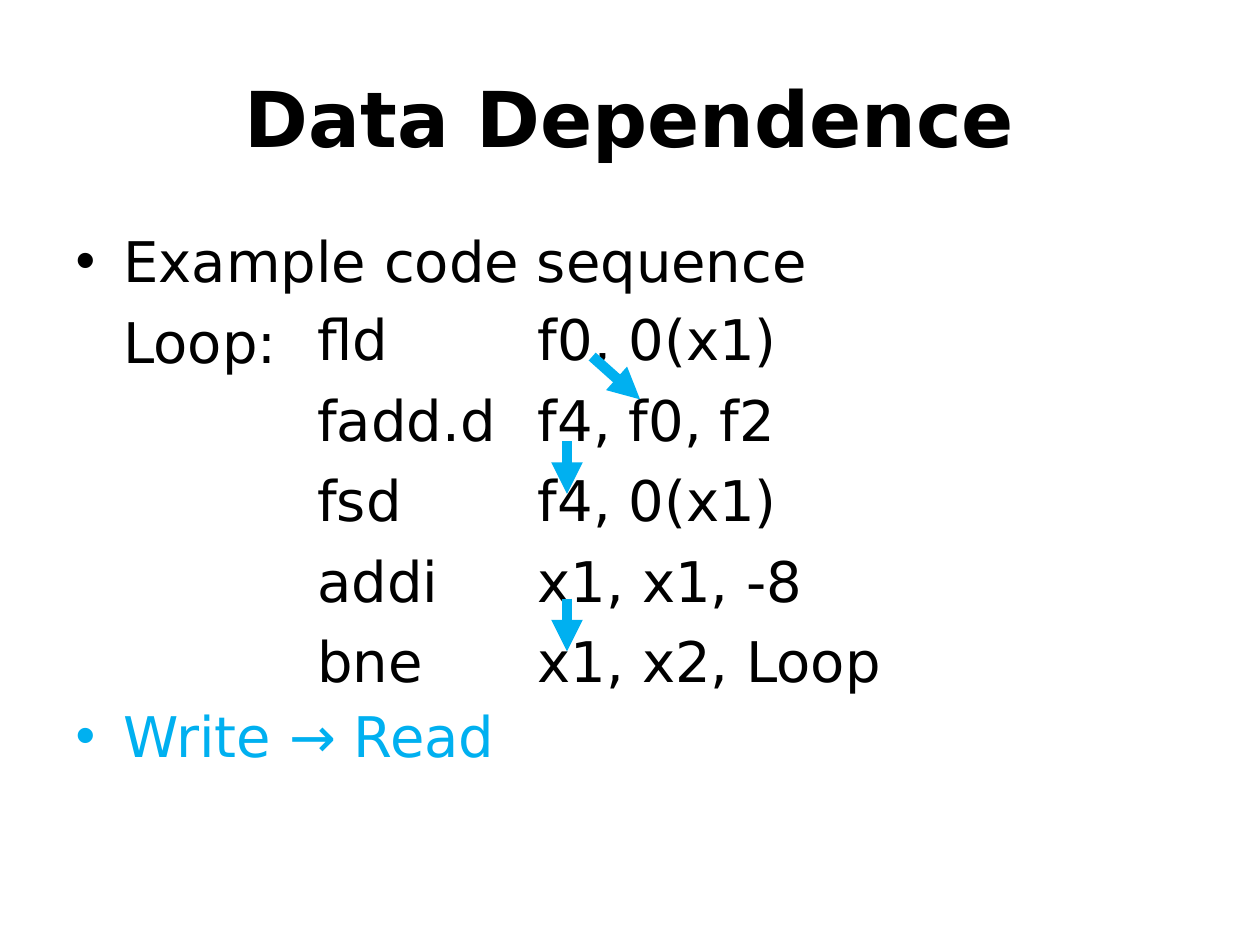
from lxml import etree
from pptx import Presentation
from pptx.dml.color import RGBColor
from pptx.enum.shapes import MSO_CONNECTOR
from pptx.enum.text import MSO_ANCHOR, MSO_AUTO_SIZE, PP_ALIGN
from pptx.oxml.ns import qn
from pptx.util import Inches, Pt

BLACK = RGBColor(0x00, 0x00, 0x00)
BLUE = RGBColor(0x00, 0xB0, 0xF0)
STRAIGHT = MSO_CONNECTOR.STRAIGHT
CENTER = PP_ALIGN.CENTER
MIDDLE, TOP = MSO_ANCHOR.MIDDLE, MSO_ANCHOR.TOP
NO_AUTOFIT = MSO_AUTO_SIZE.NONE

ROW_GAP = 7.6        # points between lines
ROW_PITCH = 44.86    # points from line to line
BODY_TOP = 1.75
CODE_TOP = round(BODY_TOP + ROW_PITCH / 72, 2)

OPERATIONS = ["fld", "fadd.d", "fsd", "addi", "bne"]
OPERANDS = ["f0, 0(x1)", "f4, f0, f2", "f4, 0(x1)", "x1, x1, -8", "x1, x2, Loop"]
DEPENDENCES = [
    ((4.7, 2.83), (5.08, 3.17)),
    ((4.5, 3.5), (4.5, 3.92)),
    ((4.5, 4.75), (4.5, 5.17)),
]


class SlideBuilder:
    """Holds the text style and the slide being filled."""

    font_name = "DejaVu Sans"
    title_size = Pt(44)
    body_size = Pt(32)
    indent = Inches(0.38)

    def __init__(self, slide):
        self.slide = slide

    def place(self, shape, left, top, width, height, anchor):
        shape.left, shape.top = Inches(left), Inches(top)
        shape.width, shape.height = Inches(width), Inches(height)
        frame = shape.text_frame
        frame.word_wrap = True
        frame.auto_size = NO_AUTOFIT
        frame.vertical_anchor = anchor
        return frame

    def add_run(self, paragraph, text, size, color=BLACK, bold=False):
        run = paragraph.add_run()
        run.text = text
        run.font.name = self.font_name
        run.font.size = size
        run.font.bold = bold
        run.font.color.rgb = color

    def title(self, text, *box):
        frame = self.place(self.slide.shapes.title, *box, MIDDLE)
        paragraph = frame.paragraphs[0]
        paragraph.alignment = CENTER
        self.add_run(paragraph, text, self.title_size, bold=True)

    def body(self, items, *box):
        """Each item is text, bullet or not, colour and space before."""
        frame = self.place(self.slide.placeholders[1], *box, TOP)
        for index, (text, bulleted, color, space) in enumerate(items):
            paragraph = frame.add_paragraph() if index else frame.paragraphs[0]
            paragraph.space_before = Pt(space)
            properties = paragraph._p.get_or_add_pPr()
            properties.set("marL", str(self.indent))
            properties.set("indent", str(-self.indent if bulleted else 0))
            if bulleted:
                etree.SubElement(properties, qn("a:buChar"), char="•")
            else:
                etree.SubElement(properties, qn("a:buNone"))
            self.add_run(paragraph, text, self.body_size, color)

    def code_column(self, lines, *box):
        shape = self.slide.shapes.add_textbox(0, 0, 0, 0)
        frame = self.place(shape, *box, TOP)
        for index, line in enumerate(lines):
            paragraph = frame.add_paragraph() if index else frame.paragraphs[0]
            paragraph.space_before = Pt(ROW_GAP if index else 0)
            self.add_run(paragraph, line, self.body_size)

    def arrow(self, start, end):
        points = [Inches(value) for value in (*start, *end)]
        connector = self.slide.shapes.add_connector(STRAIGHT, *points)
        connector.line.color.rgb = BLUE
        connector.line.width = Pt(6)
        etree.SubElement(connector.line._get_or_add_ln(), qn("a:tailEnd"), type="triangle")
        etree.SubElement(connector._element.spPr, qn("a:effectLst"))


def main():
    presentation = Presentation()
    presentation.slide_width, presentation.slide_height = Inches(10), Inches(7.5)
    slide = presentation.slides.add_slide(presentation.slide_layouts[1])
    builder = SlideBuilder(slide)

    # Title and list; the last item leaves room for the remaining code rows
    builder.title("Data Dependence", 0.5, 0.3, 9, 1.25)
    code_space = ROW_GAP + (len(OPERATIONS) - 1) * ROW_PITCH
    builder.body([
        ("Example code sequence", True, BLACK, 0),
        ("Loop:", False, BLACK, ROW_GAP),
        ("Write → Read", True, BLUE, code_space),
    ], 0.5, BODY_TOP, 9, 4.95)

    # Code columns
    for left, lines in ((2.42, OPERATIONS), (4.17, OPERANDS)):
        builder.code_column(lines, left, CODE_TOP, 3.83, 4.5)

    # Dependence arrows
    for start, end in DEPENDENCES:
        builder.arrow(start, end)

    presentation.save("out.pptx")


if __name__ == "__main__":
    main()
